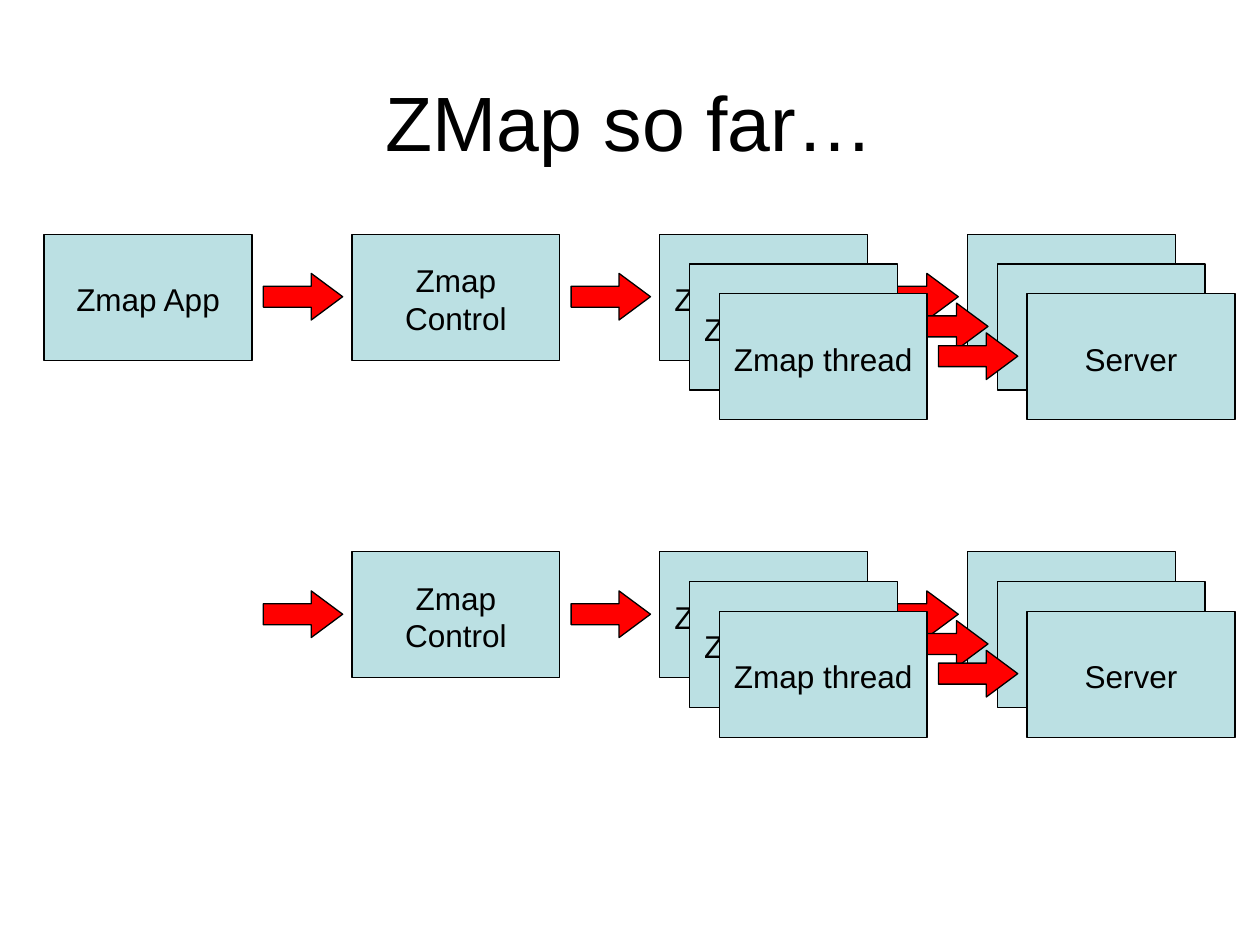
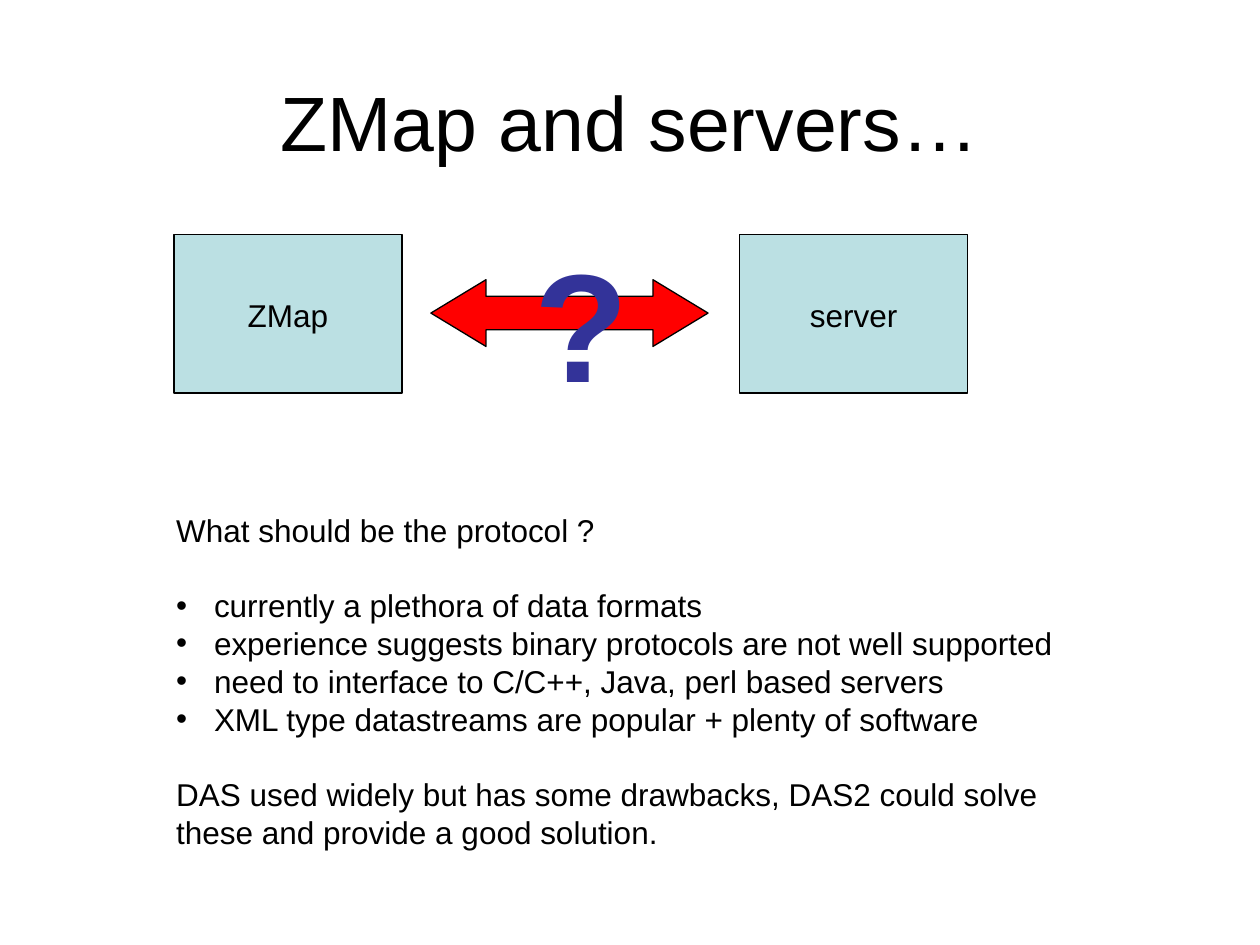
from dataclasses import dataclass, replace

from lxml.etree import SubElement as Sub
from pptx import Presentation
from pptx.dml.color import RGBColor
from pptx.enum.shapes import MSO_SHAPE as Kind
from pptx.enum.text import MSO_ANCHOR as Anchor, PP_ALIGN as Align
from pptx.oxml.ns import qn
from pptx.shapes.autoshape import Shape
from pptx.slide import Slide
from pptx.text.text import _Paragraph as Para
from pptx.util import Inches, Pt

BLACK = RGBColor(0x00, 0x00, 0x00)
PALE = RGBColor(0xBB, 0xE0, 0xE3)
RED = RGBColor(0xFF, 0x00, 0x00)
INDIGO = RGBColor(0x33, 0x33, 0x99)
FONT = "Arial"
WIDE, HIGH = Inches(10), Inches(7.5)
COL, ROW = WIDE / 100, HIGH / 75
LEAD = 1.2
LEFT, TOP = 3.5, 18.6
PITCH, DROP, STEP = 24.43, 25.2, 2.36


@dataclass(frozen=True)
class Area:
    x: float
    y: float
    w: float
    h: float

    def move(self, x: float = 0, y: float = 0) -> "Area":
        return replace(self, x=self.x + x, y=self.y + y)

    def emu(self) -> list[int]:
        return [round(v) for v in
                (self.x * COL, self.y * ROW, self.w * COL, self.h * ROW)]


@dataclass(frozen=True)
class Style:
    size: int = 18
    color: RGBColor = BLACK
    bold: bool = False
    align: Align = Align.CENTER
    anchor: Anchor = Anchor.MIDDLE
    wrap: bool = False


@dataclass(frozen=True)
class Line:
    text: str
    bullet: bool = False
    gap: bool = False


LABEL = Style()
TITLE = Style(size=44, wrap=True)
MARK = Style(size=88, color=INDIGO, bold=True, align=Align.LEFT,
             anchor=Anchor.TOP)
BODY = Style(align=Align.LEFT, anchor=Anchor.TOP, wrap=True)
NODE = Area(LEFT, TOP, 16.5, 10)
ARROW = Area(LEFT + 17.4, TOP + 3.1, 6.3, 3.7)
NOTES = [
    Line("What should be the protocol ?"),
    Line("currently a plethora of data formats", True, True),
    Line("experience suggests binary protocols are not well supported", True),
    Line("need to interface to C/C++, Java, perl based servers", True),
    Line("XML type datastreams are popular + plenty of software", True),
    Line("DAS used widely but has some drawbacks, DAS2 could solve these "
         "and provide a good solution.", gap=True),
]


def dot(para: Para) -> None:
    props = para._p.get_or_add_pPr()
    props.set("marL", str(Inches(0.3)))
    props.set("indent", str(-Inches(0.3)))
    tint = Sub(props, qn("a:buClr"))
    Sub(tint, qn("a:srgbClr"), val=str(BLACK))
    Sub(props, qn("a:buFont"), typeface=FONT)
    Sub(props, qn("a:buChar"), char="•")


def write(shape: Shape, lines: list[Line], style: Style) -> None:
    frame = shape.text_frame
    frame.word_wrap = style.wrap
    frame.vertical_anchor = style.anchor
    share = 0.1 if style.anchor == Anchor.MIDDLE else 0.05
    frame.margin_top = Inches(0.05) + Pt(style.size * share)
    frame.text = "\n".join(line.text for line in lines)
    for para, line in zip(frame.paragraphs, lines):
        if line.bullet:
            dot(para)
        para.alignment = style.align
        para.line_spacing = Pt(style.size * LEAD)
        if line.gap:
            para.space_before = Pt(style.size * LEAD)
        for run in para.runs:
            font = run.font
            font.name, font.size, font.bold = FONT, Pt(style.size), style.bold
            font.color.rgb = style.color


def text(slide: Slide, area: Area, lines: list[Line], style: Style) -> None:
    write(slide.shapes.add_textbox(*area.emu()), lines, style)


def draw(slide: Slide, kind: Kind, area: Area, fill: RGBColor) -> Shape:
    shape = slide.shapes.add_shape(kind, *area.emu())
    shape.shadow.inherit = False
    shape.fill.solid()
    shape.fill.fore_color.rgb = fill
    shape.line.color.rgb = BLACK
    shape.line.width = Pt(0.75)
    return shape


def node(slide: Slide, area: Area, *words: str,
         kind: Kind = Kind.RECTANGLE) -> None:
    shape = draw(slide, kind, area, PALE)
    if words:
        write(shape, [Line(word) for word in words], LABEL)


def arrow(slide: Slide, area: Area, kind: Kind = Kind.RIGHT_ARROW,
          shaft: float = 0.451, head: float = 0.674) -> None:
    shape = draw(slide, kind, area, RED)
    shape.adjustments[0], shape.adjustments[1] = shaft, head


def chain(slide: Slide, drop: float, *back: str) -> None:
    for col in range(2):
        arrow(slide, ARROW.move(col * PITCH, drop))
    node(slide, NODE.move(PITCH, drop), "Zmap", "Control")
    for layer in range(3):
        shift = layer * STEP
        down = drop + shift
        node(slide, NODE.move(2 * PITCH + shift, down), "Zmap thread")
        words = ("Server",) if layer else back
        node(slide, NODE.move(3 * PITCH + shift, down), *words)
        arrow(slide, ARROW.move(2 * PITCH + shift, down))


def flow(slide: Slide) -> None:
    node(slide, NODE, "Zmap App")
    chain(slide, 0)
    chain(slide, DROP, "Server")


def link(slide: Slide) -> None:
    ends = Area(13.8, TOP, 18.1, 12.6)
    node(slide, ends, "ZMap", kind=Kind.FLOWCHART_PROCESS)
    node(slide, ends.move(44.9), "server", kind=Kind.FLOWCHART_PROCESS)
    arrow(slide, Area(34.2, 22.2, 22, 5.3), Kind.LEFT_RIGHT_ARROW, 0.5, 0.826)
    text(slide, Area(41.4, 17, 9.4, 15.7), [Line("?")], MARK)
    text(slide, Area(13, 39.9, 73.5, 28), NOTES, BODY)


def main() -> None:
    deck = Presentation()
    deck.slide_width, deck.slide_height = WIDE, HIGH
    for title, fill in (("ZMap so far…", flow), ("ZMap and servers…", link)):
        slide = deck.slides.add_slide(deck.slide_layouts[6])
        text(slide, Area(5, 3, 90, 12.5), [Line(title)], TITLE)
        fill(slide)
    deck.save("out.pptx")


if __name__ == "__main__":
    main()
